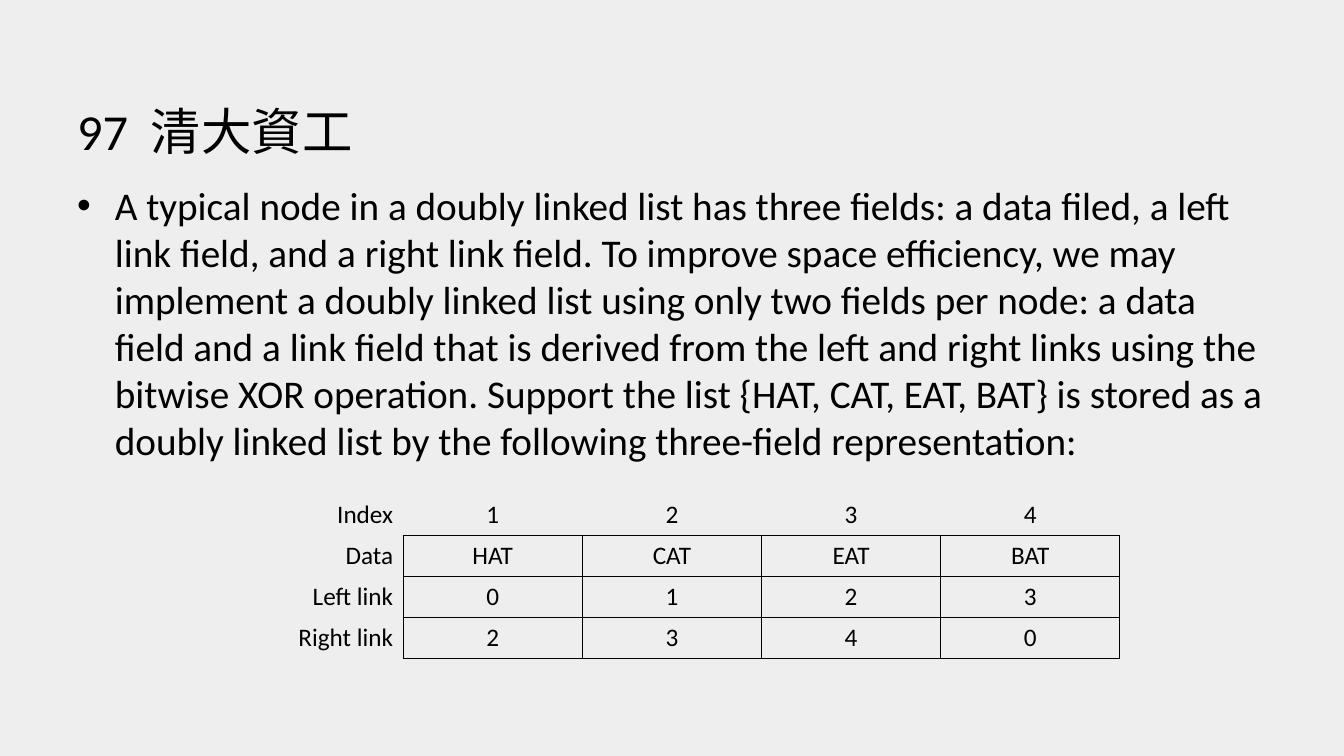
from pptx import Presentation
from pptx.dml.color import RGBColor
from pptx.enum.text import MSO_ANCHOR, PP_ALIGN
from pptx.oxml import parse_xml
from pptx.oxml.ns import nsdecls
from pptx.util import Pt

BLACK = RGBColor(0x00, 0x00, 0x00)
BACKGROUND = RGBColor(0xEE, 0xEE, 0xEE)
RIGHT, CENTER = PP_ALIGN.RIGHT, PP_ALIGN.CENTER
TOP, BOTTOM = MSO_ANCHOR.TOP, MSO_ANCHOR.BOTTOM

TITLE = "97  清大資工"
QUESTION = (
    "A typical node in a doubly linked list has three fields: a data filed, "
    "a left link field, and a right link field. To improve space efficiency, "
    "we may implement a doubly linked list using only two fields per node: "
    "a data field and a link field that is derived from the left and right "
    "links using the bitwise XOR operation. Support the list {HAT, CAT, EAT, "
    "BAT} is stored as a doubly linked list by the following three-field "
    "representation:"
)
LIST_ROWS = [
    ["Index", "1", "2", "3", "4"],
    ["Data", "HAT", "CAT", "EAT", "BAT"],
    ["Left link", "0", "1", "2", "3"],
    ["Right link", "2", "3", "4", "0"],
]
COLUMN_WIDTH, ROW_HEIGHT = 128, 29.2


def write(frame, text, size):
    para = frame.paragraphs[0]
    span = para.add_run()
    span.text = text
    span.font.color.rgb = BLACK
    for name, value in {"name": "Calibri", "size": Pt(size)}.items():
        setattr(span.font, name, value)
    return para


def add_text(page, top, height, anchor, text, size):
    box = page.shapes.add_textbox(Pt(48), Pt(top), Pt(864), Pt(height))
    frame = box.text_frame
    for name, value in {"word_wrap": True, "vertical_anchor": anchor}.items():
        setattr(frame, name, value)
    return write(frame, text, size)


deck = Presentation()
deck.slide_width, deck.slide_height = Pt(960), Pt(540)
page = deck.slides.add_slide(deck.slide_layouts[6])
page.background.fill.solid()
page.background.fill.fore_color.rgb = BACKGROUND

# Title and bulleted question
add_text(page, 28, 90, BOTTOM, TITLE, 36)
question = add_text(page, 126, 356, TOP, QUESTION, 28)
question.space_before = Pt(5.6)
properties = question._p.get_or_add_pPr()
properties.set("marL", str(Pt(27)))
properties.set("indent", str(Pt(-27)))
properties.append(parse_xml(f'<a:buFont {nsdecls("a")} typeface="Arial"/>'))
properties.append(parse_xml(f'<a:buChar {nsdecls("a")} char="•"/>'))

# Three-field table
row_count, column_count = len(LIST_ROWS), len(LIST_ROWS[0])
table_frame = page.shapes.add_table(
    row_count, column_count, Pt(160), Pt(353.4),
    Pt(COLUMN_WIDTH * column_count), Pt(ROW_HEIGHT * row_count))
table = table_frame.table
table.first_row = table.horz_banding = False
for row in table.rows:
    row.height = Pt(ROW_HEIGHT)

for row_index, values in enumerate(LIST_ROWS):
    for column_index, value in enumerate(values):
        cell = table.cell(row_index, column_index)
        para = write(cell.text_frame, value, 18)
        para.alignment = CENTER if column_index else RIGHT

        # Lines only around the stored values, not the index row or row labels
        stored = row_index > 0 and column_index > 0
        edges = {
            "lnL": stored,
            "lnR": row_index > 0,
            "lnT": stored,
            "lnB": column_index > 0,
        }
        cell_properties = cell._tc.get_or_add_tcPr()
        for edge, visible in edges.items():
            paint = (f'<a:solidFill><a:srgbClr val="{BLACK}"/></a:solidFill>'
                     if visible else "<a:noFill/>")
            cell_properties.append(parse_xml(
                f'<a:{edge} {nsdecls("a")} w="{Pt(1)}">{paint}</a:{edge}>'))
        cell.fill.background()

deck.save("out.pptx")
